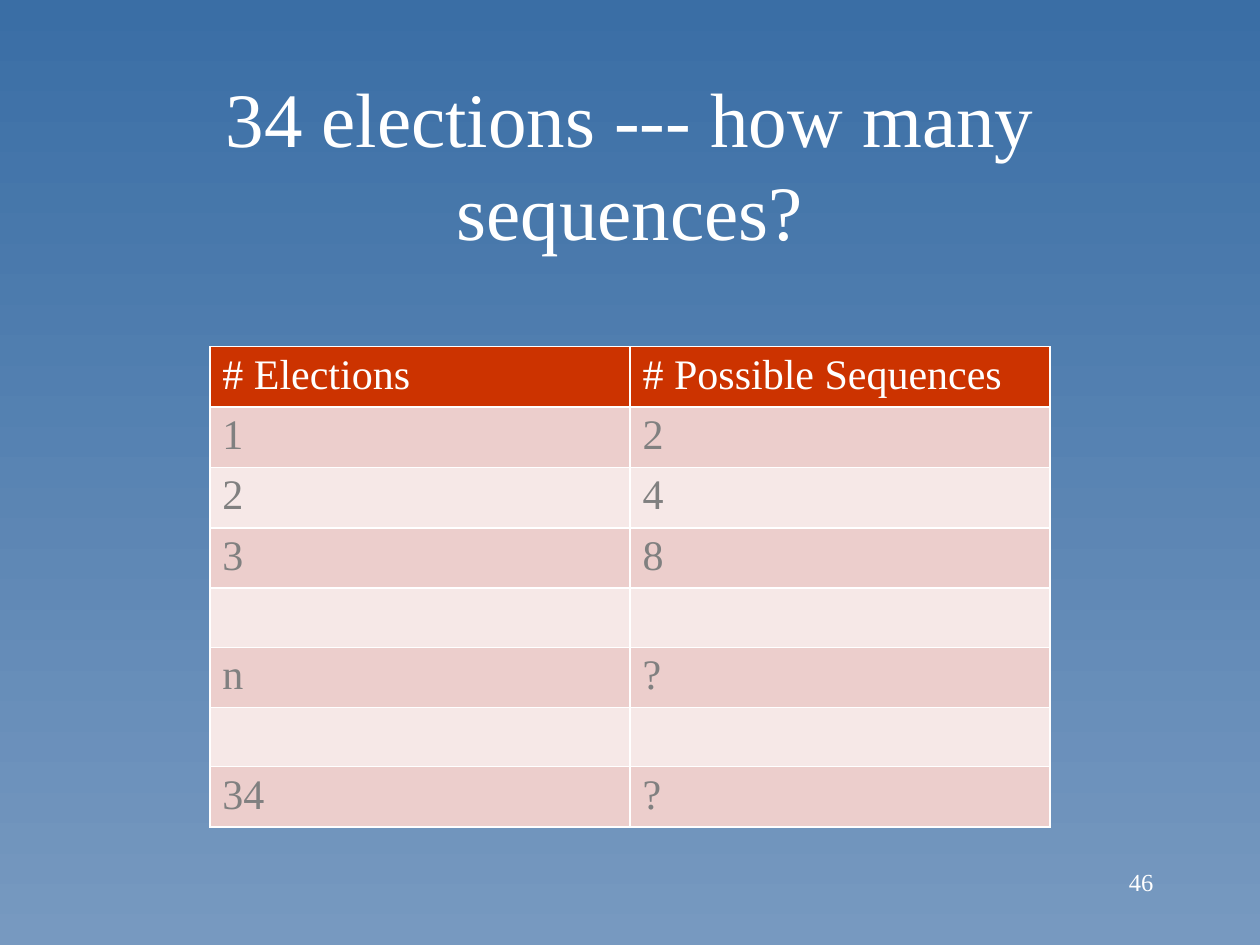
from pptx import Presentation
from pptx.dml.color import RGBColor
from pptx.enum.text import MSO_ANCHOR, PP_ALIGN
from pptx.oxml import parse_xml
from pptx.oxml.ns import nsdecls
from pptx.util import Cm, Pt

WHITE, GREY, RED = "FFFFFF", "808080", "CC3300"
BANDS = ("ECCECC", "F6E8E7")
ROWS = [
    ("# Elections", "# Possible Sequences"),
    ("1", "2"),
    ("2", "4"),
    ("3", "8"),
    ("", ""),
    ("n", "?"),
    ("", ""),
    ("34", "?"),
]


def rgb(hex_color):
    return RGBColor.from_string(hex_color)


def set_values(target, values):
    for name, value in values.items():
        setattr(target, name, value)


class SlideBuilder:
    font_name = "Times New Roman"

    def __init__(self, deck):
        self.page = deck.slides.add_slide(deck.slide_layouts[5])

    def background(self, top_color, bottom_color):
        fill = self.page.background.fill
        fill.gradient()
        fill.gradient_angle = 270
        for stop, color in zip(fill.gradient_stops, (top_color, bottom_color)):
            stop.color.rgb = rgb(color)

    def add_text(self, frame, text, size, color, align):
        frame.word_wrap = True
        para = frame.paragraphs[0]
        para.alignment = align
        span = para.add_run()
        span.text = text
        set_values(span.font, {"name": self.font_name, "size": Pt(size), "bold": False})
        span.font.color.rgb = rgb(color)

    def title(self, text, left, top, width, height):
        box = self.page.shapes.title
        set_values(box, {"left": Cm(left), "top": Cm(top),
                         "width": Cm(width), "height": Cm(height)})
        box.text_frame.vertical_anchor = MSO_ANCHOR.MIDDLE
        self.add_text(box.text_frame, text, 44, WHITE, PP_ALIGN.CENTER)

    def page_number(self, text, left, top, width, height):
        box = self.page.shapes.add_textbox(Cm(left), Cm(top), Cm(width), Cm(height))
        self.add_text(box.text_frame, text, 14, WHITE, PP_ALIGN.RIGHT)

    def cell_borders(self, cell, color, width):
        properties = cell._tc.get_or_add_tcPr()
        for index, side in enumerate("LRTB"):
            properties.insert(index, parse_xml(
                f'<a:ln{side} {nsdecls("a")} w="{Pt(width)}"><a:solidFill>'
                f'<a:srgbClr val="{color}"/></a:solidFill></a:ln{side}>'))

    def table(self, rows, left, top, width, row_height):
        table = self.page.shapes.add_table(
            len(rows), len(rows[0]), Cm(left), Cm(top),
            Cm(width), Cm(row_height * len(rows))).table
        for row_index, texts in enumerate(rows):
            table.rows[row_index].height = Cm(row_height)
            header = row_index == 0
            fill_color = RED if header else BANDS[(row_index - 1) % 2]
            for column_index, text in enumerate(texts):
                cell = table.cell(row_index, column_index)
                set_values(cell, {"margin_top": Cm(0.1), "margin_bottom": Cm(0.1)})
                cell.fill.solid()
                cell.fill.fore_color.rgb = rgb(fill_color)
                self.cell_borders(cell, WHITE, 1)
                if text:
                    self.add_text(cell.text_frame, text, 24,
                                  WHITE if header else GREY, PP_ALIGN.LEFT)


def main():
    deck = Presentation()
    set_values(deck, {"slide_width": Cm(25.4), "slide_height": Cm(19.05)})
    builder = SlideBuilder(deck)
    builder.background("3A6EA5", "7799C0")
    builder.title("34 elections --- how many sequences?", 1.9, 1.7, 21.6, 3.18)
    builder.page_number("46", 18.2, 17.35, 5.3, 1.27)
    builder.table(ROWS, 4.23, 6.99, 16.94, 1.19)
    deck.save("out.pptx")


if __name__ == "__main__":
    main()
